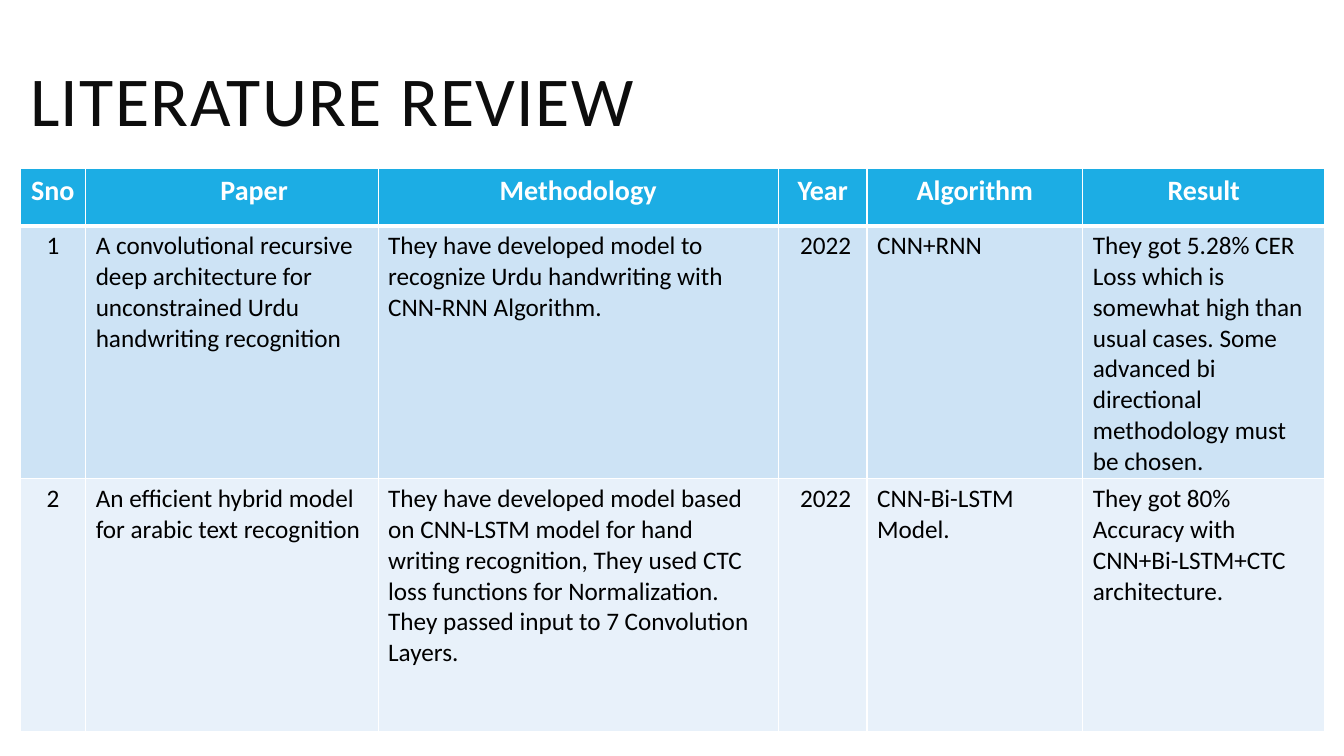
from lxml import etree
from pptx import Presentation
from pptx.dml.color import RGBColor
from pptx.enum import text
from pptx.oxml import ns
from pptx.util import Inches, Pt

COLORS = {
    "title": "0D0D0D",
    "header": "1CADE4",
    "odd": "CDE3F5",
    "even": "E8F1FA",
    "white": "FFFFFF",
    "black": "000000",
}
FONT = "Calibri"
COLUMN_WIDTHS = [0.65, 2.9, 3.97, 0.88, 2.14, 2.4]
ROW_HEIGHTS = [0.57, 2.51, 2.51]
CENTERED_COLUMNS = (0, 3)
EXTRA_INDENTS = {(0, 1): 0.44, (1, 3): 0.06, (2, 3): 0.06}
REVIEW = [
    ["Sno", "Paper", "Methodology", "Year", "Algorithm", "Result"],
    [
        "1",
        "A convolutional recursive deep architecture for unconstrained Urdu handwriting recognition",
        "They have developed model to recognize Urdu handwriting with CNN-RNN Algorithm.",
        "2022",
        "CNN+RNN",
        "They got 5.28% CER Loss which is somewhat high than usual cases. "
        "Some advanced bi directional methodology must be chosen.",
    ],
    [
        "2",
        "An efficient hybrid model for arabic text recognition",
        "They have developed model based on CNN-LSTM model for hand writing recognition, "
        "They used CTC loss functions for Normalization. They passed input to 7 Convolution Layers.",
        "2022",
        "CNN-Bi-LSTM Model.",
        "They got 80% Accuracy with CNN+Bi-LSTM+CTC architecture.",
    ],
]


def rgb(name):
    return RGBColor.from_string(COLORS[name])


def set_font(font, size, color, bold=False):
    font.name = FONT
    font.size = Pt(size)
    font.bold = bold
    font.color.rgb = rgb(color)


def add_title(page, words):
    box = page.shapes.add_textbox(Inches(0.2), Inches(0.24), Inches(10.63), Inches(1.64))
    frame = box.text_frame
    frame.word_wrap = True
    frame.vertical_anchor = text.MSO_ANCHOR.MIDDLE
    para = frame.paragraphs[0]
    para.line_spacing = 0.8
    span = para.add_run()
    span.text = words
    set_font(span.font, 50, "title")
    span.font._element.set("spc", "100")


def set_borders(cell, bottom_width):
    properties = cell._tc.get_or_add_tcPr()
    for side, width in (("L", 1), ("R", 1), ("T", 1), ("B", bottom_width)):
        line = etree.SubElement(properties, ns.qn(f"a:ln{side}"), w=str(Pt(width)))
        fill = etree.SubElement(line, ns.qn("a:solidFill"))
        etree.SubElement(fill, ns.qn("a:srgbClr"), val=COLORS["white"])


def fill_cell(cell, words, row, column):
    header = row == 0
    set_borders(cell, 3 if header else 1)
    cell.fill.solid()
    cell.fill.fore_color.rgb = rgb("header" if header else "odd" if row % 2 else "even")
    cell.margin_left = Inches(0.1 + EXTRA_INDENTS.get((row, column), 0))
    cell.text = words
    para = cell.text_frame.paragraphs[0]
    if header or column in CENTERED_COLUMNS:
        para.alignment = text.PP_ALIGN.CENTER
    if header:
        set_font(para.font, 20, "white", bold=True)
    else:
        set_font(para.font, 18, "black")


def add_review_table(page):
    table = page.shapes.add_table(
        len(ROW_HEIGHTS), len(COLUMN_WIDTHS),
        Inches(0.2), Inches(1.67), Inches(sum(COLUMN_WIDTHS)), Inches(sum(ROW_HEIGHTS)),
    ).table
    for column, width in zip(table.columns, COLUMN_WIDTHS):
        column.width = Inches(width)
    for row, (height, entries) in enumerate(zip(ROW_HEIGHTS, REVIEW)):
        table.rows[row].height = Inches(height)
        for column, words in enumerate(entries):
            fill_cell(table.cell(row, column), words, row, column)


def main():
    deck = Presentation()
    deck.slide_width = Inches(13.33)
    deck.slide_height = Inches(7.5)
    page = deck.slides.add_slide(deck.slide_layouts[6])
    add_title(page, "LITERATURE REVIEW")
    add_review_table(page)
    deck.save("out.pptx")


if __name__ == "__main__":
    main()
